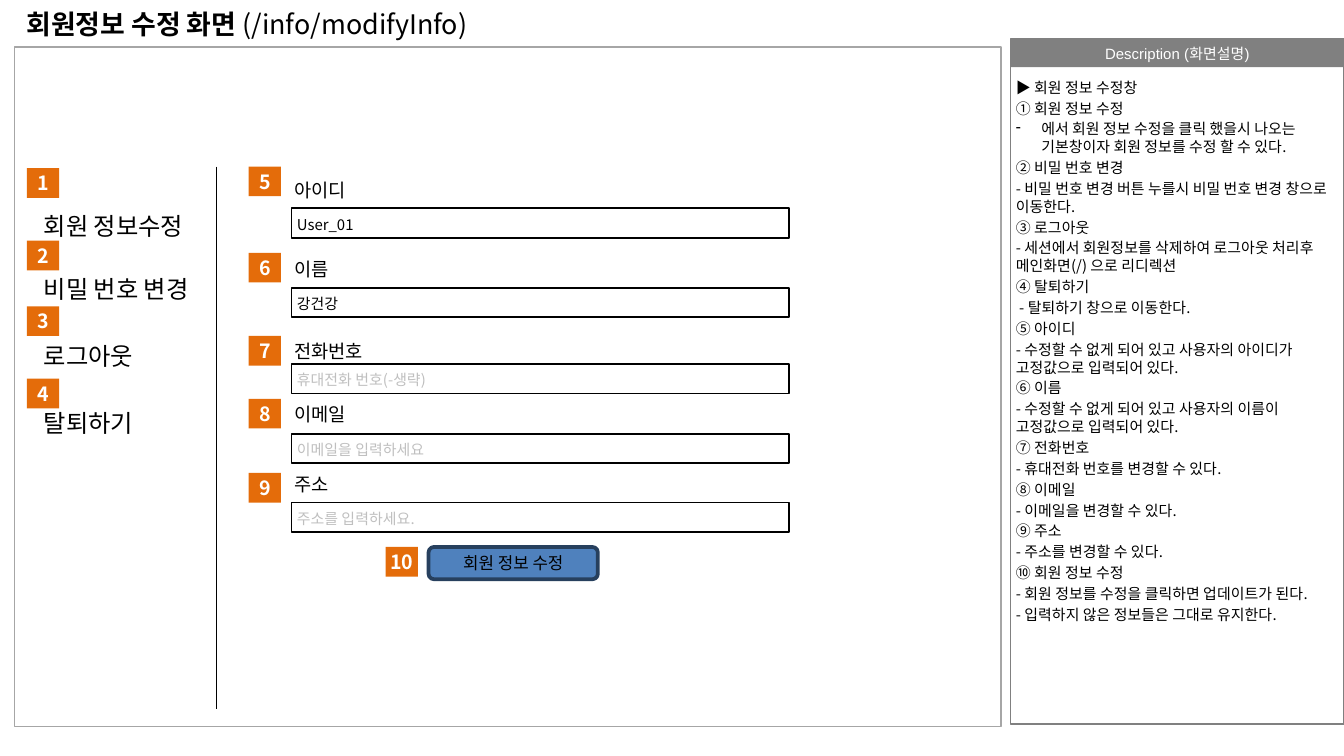
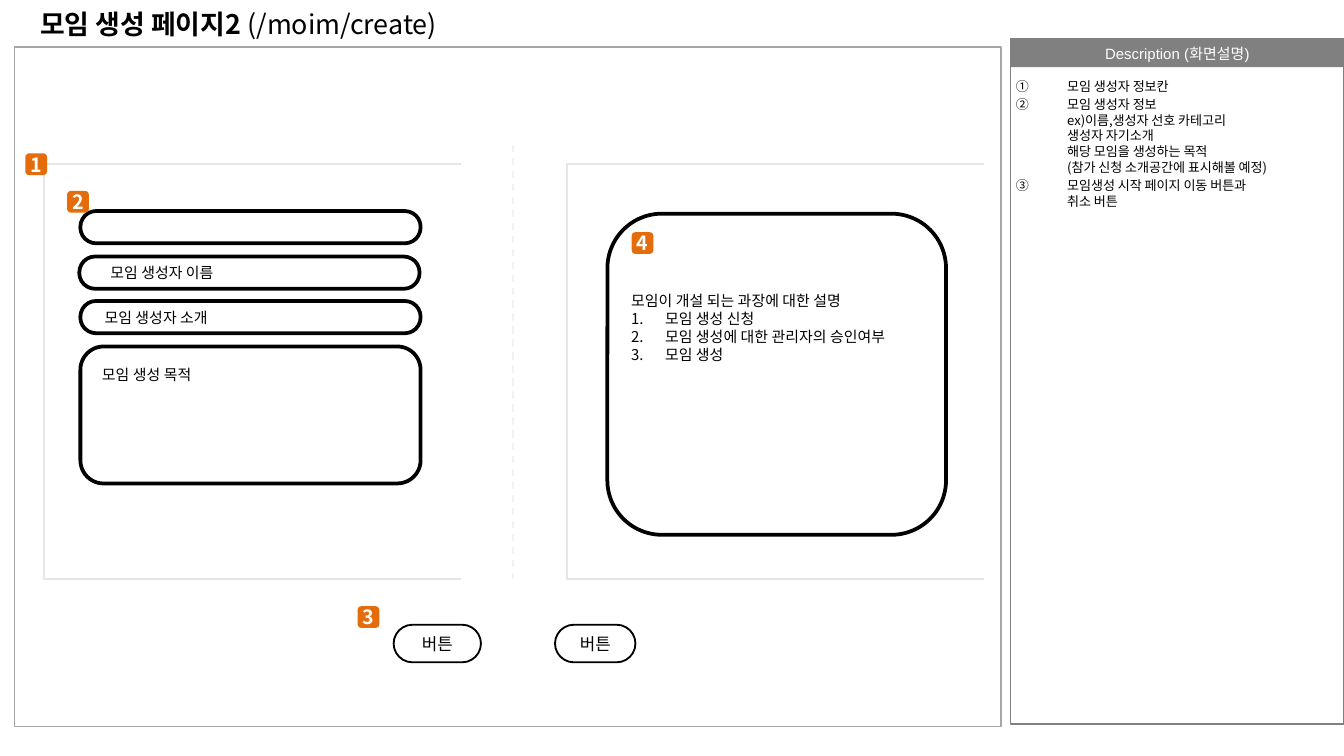
"""Build two screen-design slides: member info editing and group creation."""
from copy import deepcopy

from lxml import etree
from pptx import Presentation
from pptx import util as u
from pptx.dml.color import RGBColor
from pptx.enum import dml, shapes, text
from pptx.oxml.ns import qn

COLORS = {
    "black": "000000", "white": "FFFFFF", "header": "808080", "frame": "A6A6A6",
    "badge": "E46C0A", "button": "4F81BD", "button_line": "27405E",
    "hint": "BFBFBF", "bracket": "E6E6E6", "divider": "F2F2F2",
}
KOREAN = "Noto Sans CJK KR"
FORMATS = {
    "title": {"size": u.Pt(14.4), "bold": True, "name": KOREAN},
    "route": {"size": u.Pt(14.4), "bold": False, "name": KOREAN},
    "header": {"size": u.Pt(8), "name": "Arial"},
    "badge": {"size": u.Pt(10.5), "bold": True, "name": KOREAN},
    "menu": {"size": u.Pt(13), "name": KOREAN},
    "label": {"size": u.Pt(10), "name": KOREAN},
    "button": {"size": u.Pt(9), "name": KOREAN},
    "body": {"size": u.Pt(8), "name": KOREAN},
    "small": {"size": u.Pt(7), "name": KOREAN},
}
INSETS = (0.25, 0.13, 0.25, 0.13)
MIDDLE, TOP = text.MSO_ANCHOR.MIDDLE, text.MSO_ANCHOR.TOP
CENTER, LEFT = text.PP_ALIGN.CENTER, text.PP_ALIGN.LEFT

MENU = [
    ("회원 정보수정", 3.18, 3.86), ("비밀 번호 변경", 4.55, 5.05),
    ("로그아웃", 5.79, 6.32), ("탈퇴하기", 7.16, 7.59),
]
FIELDS = [
    ("아이디", "User_01", "black", 3.15, 3.25, 3.94),
    ("이름", "강건강", "black", 4.78, 4.75, 5.44),
    ("전화번호", "휴대전화 번호(-생략)", "hint", 6.35, 6.3, 6.88),
    ("이메일", "이메일을 입력하세요", "hint", 7.54, 7.49, 8.2),
    ("주소", "주소를 입력하세요.", "hint", 8.94, 8.81, 9.5),
]
MEMBER_NOTES = [
    "▶ 회원 정보 수정창",
    "① 회원 정보 수정",
    ("에서 회원 정보 수정을 클릭 했을시 나오는 기본창이자 회원 정보를 수정 할 수 있다.", "dash"),
    "② 비밀 번호 변경",
    "- 비밀 번호 변경 버튼 누를시 비밀 번호 변경 창으로 이동한다.",
    "③ 로그아웃",
    "- 세션에서 회원정보를 삭제하여 로그아웃 처리후 메인화면(/) 으로 리디렉션",
    "④ 탈퇴하기",
    " - 탈퇴하기 창으로 이동한다.",
    "⑤ 아이디",
    "- 수정할 수 없게 되어 있고 사용자의 아이디가 고정값으로 입력되어 있다.",
    "⑥ 이름",
    "- 수정할 수 없게 되어 있고 사용자의 이름이 고정값으로 입력되어 있다.",
    "⑦ 전화번호",
    "- 휴대전화 번호를 변경할 수 있다.",
    "⑧ 이메일",
    "- 이메일을 변경할 수 있다.",
    "⑨ 주소",
    "- 주소를 변경할 수 있다.",
    "⑩ 회원 정보 수정",
    "- 회원 정보를 수정을 클릭하면 업데이트가 된다.",
    "- 입력하지 않은 정보들은 그대로 유지한다.",
]
GROUP_NOTES = [
    ("모임 생성자 정보칸", "circle"),
    ("모임 생성자 정보\nex)이름,생성자 선호 카테고리\n생성자 자기소개\n"
     "해당 모임을 생성하는 목적\n(참가 신청 소개공간에 표시해볼 예정)", "circle"),
    ("모임생성 시작 페이지 이동 버튼과\n취소 버튼", "circle"),
]
PROCESS = [
    "모임이 개설 되는 과장에 대한 설명", ("모임 생성 신청", "number"),
    ("모임 생성에 대한 관리자의 승인여부", "number"), ("모임 생성", "number"),
]
BULLETS = {
    "dash": (0.48, "a:buChar", {"char": "-"}),
    "circle": (0.97, "a:buAutoNum", {"type": "circleNumDbPlain"}),
    "number": (0.64, "a:buAutoNum", {"type": "arabicPeriod"}),
}


def rgb(color):
    return RGBColor.from_string(COLORS[color])


class Deck:
    def __init__(self):
        self.presentation = Presentation()
        self.presentation.slide_width = u.Cm(25.4)
        self.presentation.slide_height = u.Cm(14.29)
        self.slide = None

    def style_run(self, run, style, color):
        for name, value in FORMATS[style].items():
            setattr(run.font, name, value)
        run.font.color.rgb = rgb(color)
        etree.SubElement(run.font._element, qn("a:ea"), typeface=KOREAN)

    def set_bullet(self, paragraph, bullet):
        indent, tag, attributes = BULLETS[bullet]
        properties = paragraph._p.get_or_add_pPr()
        properties.set("marL", str(u.Cm(indent)))
        properties.set("indent", str(-u.Cm(indent)))
        etree.SubElement(properties, qn(tag), attributes)

    def fill_text(self, shape, lines, style, color="black", align=LEFT, anchor=TOP,
                  insets=INSETS, gap=0):
        frame = shape.text_frame
        sides = ("margin_left", "margin_top", "margin_right", "margin_bottom")
        settings = dict(zip(sides, map(u.Cm, insets)), word_wrap=True,
                        auto_size=text.MSO_AUTO_SIZE.NONE, vertical_anchor=anchor)
        for name, value in settings.items():
            setattr(frame, name, value)
        for index, line in enumerate(lines):
            words, bullet = line if isinstance(line, tuple) else (line, None)
            paragraph = frame.add_paragraph() if index else frame.paragraphs[0]
            paragraph.text = words
            paragraph.alignment = align
            if index and gap:
                paragraph.space_before = u.Pt(gap)
            if bullet:
                self.set_bullet(paragraph, bullet)
            for run in paragraph.runs:
                self.style_run(run, style, color)
            for line_break in paragraph._p.findall(qn("a:br")):
                line_break.append(deepcopy(paragraph.runs[0].font._element))

    def outline(self, shape, line, width):
        shape.shadow.inherit = False
        if line:
            shape.line.color.rgb = rgb(line)
            shape.line.width = u.Pt(width)
        else:
            shape.line.fill.background()

    def box(self, place, fill=None, line=None, width=1.0, corner=None):
        kind = shapes.MSO_SHAPE.RECTANGLE if corner is None else shapes.MSO_SHAPE.ROUNDED_RECTANGLE
        shape = self.slide.shapes.add_shape(kind, *map(u.Cm, place))
        if corner is not None:
            shape.adjustments[0] = corner
        if fill:
            shape.fill.solid()
            shape.fill.fore_color.rgb = rgb(fill)
        else:
            shape.fill.background()
        self.outline(shape, line, width)
        return shape

    def label(self, place, lines, style, color="black", **options):
        shape = self.slide.shapes.add_textbox(*map(u.Cm, place))
        self.fill_text(shape, lines, style, color, **options)

    def badge(self, number, left, top, width=0.61, height=0.56, corner=0):
        shape = self.box((left, top, width, height), "badge", corner=corner)
        self.fill_text(shape, [str(number)], "badge", "white", CENTER, MIDDLE, (0, 0, 0, 0))

    def button(self, words, place, **look):
        self.fill_text(self.box(place, **look), [words], "button", align=CENTER,
                       anchor=MIDDLE, insets=(0, 0, 0, 0))

    def line(self, left, top, bottom, color, width, dash=None):
        connector = self.slide.shapes.add_connector(
            shapes.MSO_CONNECTOR.STRAIGHT, *map(u.Cm, (left, top, left, bottom)))
        connector.line.color.rgb = rgb(color)
        connector.line.width = u.Pt(width)
        if dash:
            connector.line.dash_style = dash
        etree.SubElement(connector._element.spPr, qn("a:effectLst"))

    def bracket(self, left, top, width, height):
        right, bottom = left + width, top + height
        corners = [(right, top), (left, top), (left, bottom), (right, bottom)]
        points = [(u.Cm(x), u.Cm(y)) for x, y in corners]
        builder = self.slide.shapes.build_freeform(*points[0])
        builder.add_line_segments(points[1:], close=False)
        shape = builder.convert_to_shape()
        shape.fill.background()
        self.outline(shape, "bracket", 1)

    def start(self, name, route, title_left, notes, note_style):
        self.slide = self.presentation.slides.add_slide(self.presentation.slide_layouts[5])
        header = self.box((19.1, 0.74, 6.3, 0.53), "header")
        self.fill_text(header, ["Description (화면설명)"], "header", "white", CENTER, MIDDLE,
                       (0.23, 0.1, 0.23, 0.1))
        self.box((19.1, 0.74, 6.3, 12.95), line="header", width=0.75)
        frame = self.box((0.28, 0.89, 18.64, 12.85), "white", "frame", 0.75)
        white = frame._element.spPr.find(qn("a:solidFill")).find(qn("a:srgbClr"))
        etree.SubElement(white, qn("a:alpha"), val="70000")
        self.label((19.1, 1.35, 6.3, 12.4), notes, note_style,
                   insets=(0.1, 0.13, 0, 0.13), gap=FORMATS[note_style]["size"].pt * 0.2)
        title = self.slide.shapes.title
        place = (title_left, 0.05, 18.89 - title_left, 0.81)
        for side, value in zip(("left", "top", "width", "height"), place):
            setattr(title, side, u.Cm(value))
        self.fill_text(title, [name + " "], "title", anchor=MIDDLE)
        run = title.text_frame.paragraphs[0].add_run()
        run.text = route
        self.style_run(run, "route", "black")


def build_member_slide(deck):
    deck.start("회원정보 수정 화면", "(/info/modifyInfo)", 0.25, MEMBER_NOTES, "body")
    deck.line(4.09, 3.15, 13.41, "black", 0.75)
    for number, (words, badge_top, top) in enumerate(MENU, 1):
        deck.label((0.58, top, 3.9, 0.81), [words], "menu")
        deck.badge(number, 0.51, badge_top)
    for number, (name, value, color, badge_top, name_top, top) in enumerate(FIELDS, 5):
        deck.label((5.31, name_top, 7.5, 0.67), [name], "label")
        deck.box((5.51, top, 9.4, 0.56), "white", "black")
        deck.label((5.36, top, 3.6, 0.58), [value], "body", color)
        deck.badge(number, 4.7, badge_top)
    deck.button("회원 정보 수정", (8.1, 10.34, 3.2, 0.61), fill="button",
                line="button_line", width=2, corner=0.17)
    deck.badge(10, 7.29, 10.34)


def build_group_slide(deck):
    deck.start("모임 생성 페이지2", "(/moim/create)", 0.51, GROUP_NOTES, "small")
    for left in (0.84, 10.72):
        deck.bracket(left, 3.1, 7.87, 7.85)
    deck.line(9.7, 2.74, 10.95, "divider", 1, dml.MSO_LINE.DASH)
    thick = {"line": "black", "width": 2}
    deck.box((1.52, 3.99, 6.43, 0.61), corner=0.49, **thick)
    for words, left, top, inset in (("모임 생성자 이름", 1.5, 4.85, 0.5),
                                    ("모임 생성자 소개", 1.52, 5.69, 0.37)):
        pill = deck.box((left, top, 6.43, 0.61), corner=0.49, **thick)
        deck.fill_text(pill, [words], "body", anchor=MIDDLE, insets=(inset, 0, 0, 0))
    purpose = deck.box((1.52, 6.55, 6.43, 2.59), corner=0.17, **thick)
    deck.fill_text(purpose, ["모임 생성 목적"], "body", insets=(0.28, 0.23, 0, 0))
    deck.box((11.48, 4.04, 6.4, 6.07), corner=0.17, **thick)
    deck.label((11.68, 5.38, 5.97, 1.63), PROCESS, "body")
    for left, width in ((7.44, 1.65), (10.49, 1.52)):
        deck.button("버튼", (left, 11.81, width, 0.71), line="black", corner=0.5)
    badges = [(0.48, 2.9), (1.27, 3.61), (6.76, 11.46), (11.94, 4.39)]
    for number, (left, top) in enumerate(badges, 1):
        deck.badge(number, left, top, 0.41, 0.41, 0.17)


def main():
    deck = Deck()
    build_member_slide(deck)
    build_group_slide(deck)
    deck.presentation.save("out.pptx")


if __name__ == "__main__":
    main()
